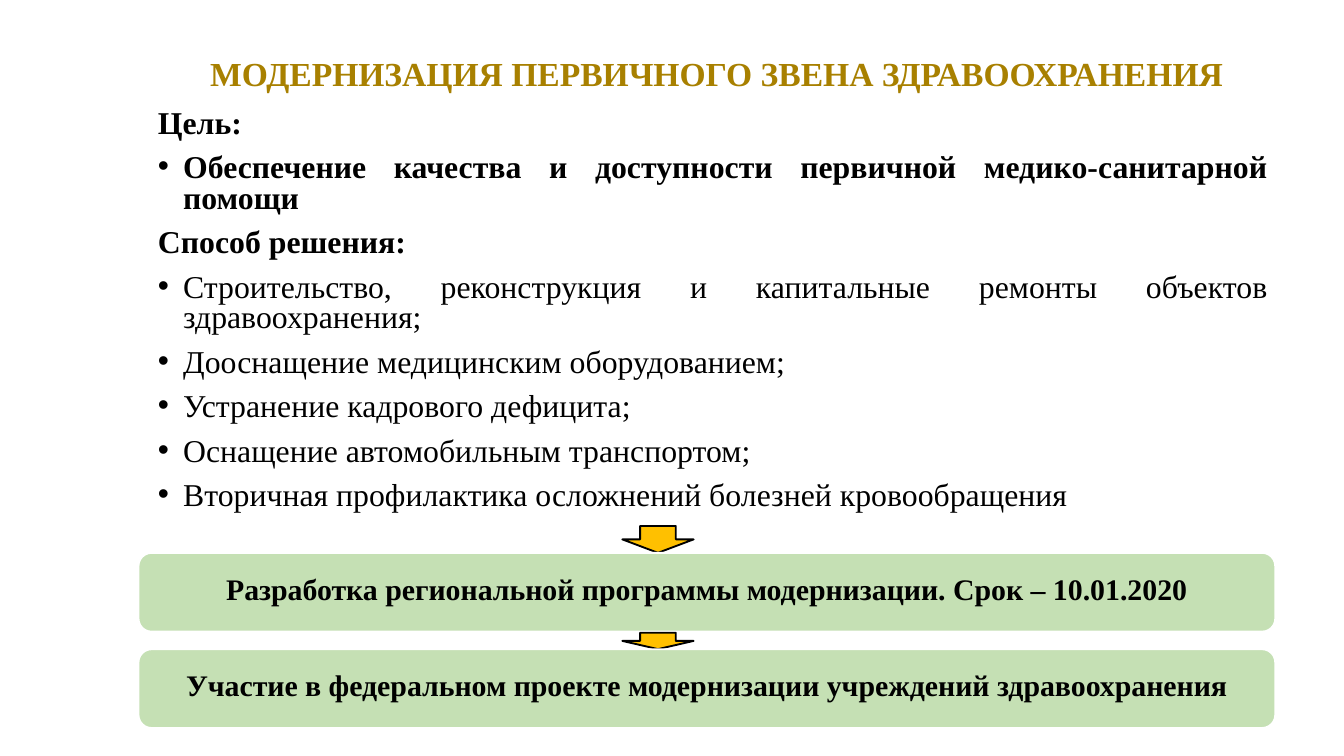
"""Build the slide on modernising primary health care."""
from lxml.etree import SubElement
from pptx import Presentation
from pptx.dml.color import RGBColor
from pptx.enum.shapes import MSO_SHAPE
from pptx.enum.text import MSO_ANCHOR, MSO_AUTO_SIZE, PP_ALIGN
from pptx.oxml.ns import qn
from pptx.util import Pt

BLACK = RGBColor(0, 0, 0)
WHITE = RGBColor(255, 255, 255)
GOLD = RGBColor(0xA8, 0x80, 0x00)
AMBER = RGBColor(0xFF, 0xC0, 0x00)
GREEN = RGBColor(0xC5, 0xE0, 0xB4)

TITLE = "МОДЕРНИЗАЦИЯ ПЕРВИЧНОГО ЗВЕНА ЗДРАВООХРАНЕНИЯ"
SECTIONS = [
    ("Цель:", True, ["Обеспечение качества и доступности первичной медико-санитарной помощи"]),
    ("Способ решения:", False, [
        "Строительство, реконструкция и капитальные ремонты объектов здравоохранения;",
        "Дооснащение медицинским оборудованием;",
        "Устранение кадрового дефицита;",
        "Оснащение автомобильным транспортом;",
        "Вторичная профилактика осложнений болезней кровообращения",
    ]),
]
STEPS = [
    ("Разработка региональной программы модернизации. Срок – 10.01.2020", 14.4),
    ("Участие в федеральном проекте модернизации учреждений здравоохранения", 8.8),
]

INDENT = 13.5
STEP_LEFT, STEP_TOP, STEP_WIDTH, STEP_HEIGHT, STEP_PITCH = 74.2, 296.2, 609, 42.2, 51.6
ARROW_CENTER, ARROW_WIDTH = 352.5, 38.2


def set_values(target, values):
    for name, value in values.items():
        setattr(target, name, value)


def write(paragraph, text, size, color=BLACK, bold=True, **formats):
    run = paragraph.add_run()
    run.text = text
    set_values(run.font, {"name": "Times New Roman", "size": Pt(size), "bold": bold})
    run.font.color.rgb = color
    set_values(paragraph, formats)


def place(placeholder, left, top, width, height, anchor):
    box = {"left": left, "top": top, "width": width, "height": height}
    set_values(placeholder, {name: Pt(value) for name, value in box.items()})
    set_values(placeholder.text_frame, {
        "margin_left": Pt(5.4), "margin_right": Pt(5.4), "margin_top": Pt(2.7),
        "margin_bottom": Pt(2.7), "word_wrap": True, "auto_size": MSO_AUTO_SIZE.NONE,
        "vertical_anchor": anchor})
    return placeholder.text_frame


def set_bullet(paragraph, bulleted):
    properties = paragraph._p.get_or_add_pPr()
    properties.set("marL", str(Pt(INDENT)))
    properties.set("indent", str(-Pt(INDENT)))
    if bulleted:
        SubElement(properties, qn("a:buFont")).set("typeface", "Arial")
        SubElement(properties, qn("a:buChar")).set("char", "•")
    else:
        SubElement(properties, qn("a:buNone"))


def add_filled_shape(slide, kind, box, fill, line):
    shape = slide.shapes.add_shape(kind, *map(Pt, box))
    shape.shadow.inherit = False
    shape.fill.solid()
    shape.fill.fore_color.rgb = fill
    shape.line.color.rgb = line
    shape.line.width = Pt(1)
    return shape


def add_body(placeholder):
    frame = place(placeholder, 79.2, 56.2, 605.5, 271.4, MSO_ANCHOR.TOP)
    lines = []
    for heading, bold, items in SECTIONS:
        lines.append((heading, True, False))
        lines += [(item, bold, True) for item in items]
    for index, (text, bold, bulleted) in enumerate(lines):
        paragraph = frame.add_paragraph() if index else frame.paragraphs[0]
        set_bullet(paragraph, bulleted)
        write(paragraph, text, 17, bold=bold, alignment=PP_ALIGN.JUSTIFY,
              line_spacing=0.8, space_before=Pt(7.5 if index else 0))


def add_step(slide, index, text, arrow_height):
    top = STEP_TOP + index * STEP_PITCH
    arrow_box = (ARROW_CENTER - ARROW_WIDTH / 2, top - arrow_height, ARROW_WIDTH, arrow_height)
    add_filled_shape(slide, MSO_SHAPE.DOWN_ARROW, arrow_box, AMBER, BLACK)
    step_box = (STEP_LEFT, top, STEP_WIDTH, STEP_HEIGHT)
    step = add_filled_shape(slide, MSO_SHAPE.ROUNDED_RECTANGLE, step_box, GREEN, WHITE)
    step.text_frame.word_wrap = True
    step.text_frame.vertical_anchor = MSO_ANCHOR.MIDDLE
    write(step.text_frame.paragraphs[0], text, 16,
          alignment=PP_ALIGN.CENTER, line_spacing=0.75)


def main():
    presentation = Presentation()
    presentation.slide_width, presentation.slide_height = Pt(720), Pt(405)
    slide = presentation.slides.add_slide(presentation.slide_layouts[1])
    title = place(slide.shapes.title, 84.2, 15.1, 599.8, 51.1, MSO_ANCHOR.MIDDLE)
    write(title.paragraphs[0], TITLE, 18, GOLD, alignment=PP_ALIGN.CENTER, line_spacing=0.9)
    add_body(slide.placeholders[1])
    for index, (text, arrow_height) in enumerate(STEPS):
        add_step(slide, index, text, arrow_height)
    presentation.save("out.pptx")


if __name__ == "__main__":
    main()
